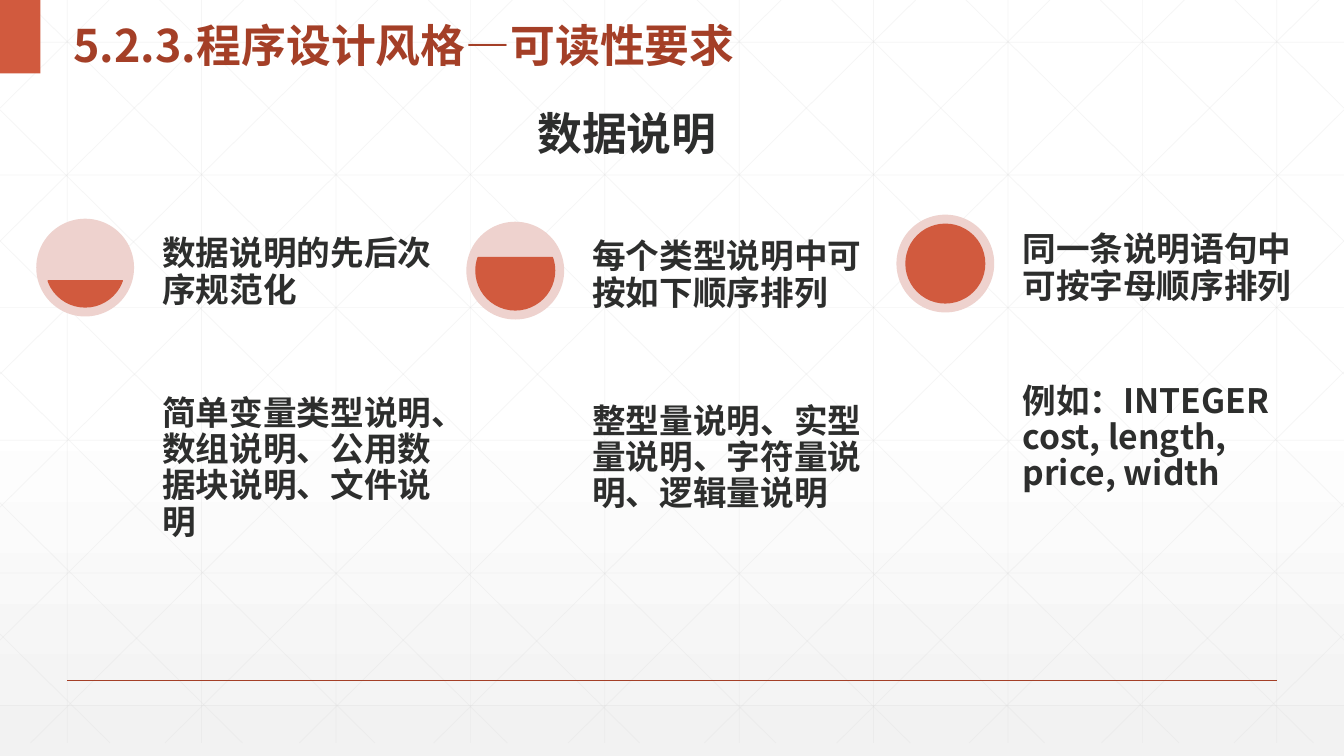
from lxml.etree import SubElement
from pptx import Presentation
from pptx.dml.color import RGBColor
from pptx.enum.shapes import MSO_CONNECTOR as CONNECTOR, MSO_SHAPE as SHAPE
from pptx.enum.text import MSO_ANCHOR as ANCHOR
from pptx.oxml.ns import qn
from pptx.util import Inches, Pt

COLORS = {name: RGBColor.from_string(value) for name, value in {
    "white": "FFFFFF", "mist": "F2F2F2", "grid": "D9D9D9", "rust": "A43F27",
    "orange": "D15A3E", "pink": "EED2CE", "ink": "2D2E2D"}.items()}
FONT = "Noto Sans CJK SC"
WIDTH, HEIGHT = 13.33, 7.5

presentation = Presentation()
presentation.slide_width, presentation.slide_height = Inches(WIDTH), Inches(HEIGHT)
slide = presentation.slides.add_slide(presentation.slide_layouts[6])


def add_line(x1, y1, x2, y2, color, weight, opacity=100):
    line = slide.shapes.add_connector(
        CONNECTOR.STRAIGHT, Inches(x1), Inches(y1), Inches(x2), Inches(y2))
    line.line.color.rgb = COLORS[color]
    line.line.width = Pt(weight)
    properties = line._element.spPr
    SubElement(properties, qn("a:effectLst"))
    if opacity < 100:
        rgb = properties.find(".//" + qn("a:srgbClr"))
        SubElement(rgb, qn("a:alpha"), val=str(opacity * 1000))


def add_text(text, box, size, color, spacing, anchor=ANCHOR.TOP, inset=None, wrap=True):
    frame = slide.shapes.add_textbox(*map(Inches, box)).text_frame
    frame.word_wrap = wrap
    frame.vertical_anchor = anchor
    if inset is not None:
        frame.margin_left = frame.margin_right = Inches(inset)
        frame.margin_top = frame.margin_bottom = Inches(inset)
    paragraph = frame.paragraphs[0]
    paragraph.text = text
    paragraph.line_spacing = spacing
    font = paragraph.font
    font.size, font.bold, font.name = Pt(size), True, FONT
    font.color.rgb = COLORS[color]
    defaults = paragraph._p.find(".//" + qn("a:defRPr"))
    SubElement(defaults, qn("a:ea"), typeface=FONT)


# Background: white fading to light grey at the bottom
background = slide.background.fill
background.gradient()
background.gradient_angle = 270
for stop, (position, color) in zip(background.gradient_stops, [(0.53, "white"), (1, "mist")]):
    stop.position = position
    stop.color.rgb = COLORS[color]

# Faint grid: columns, rows, then mirrored pairs of diagonals
GRID_BOTTOM, COLUMN, ROW, SLOPE = 7.37, WIDTH / 10, 1.316, 0.99
grid_style = ("grid", 0.5, 25)
for column in range(10):
    x = (column + 0.5) * COLUMN
    add_line(x, 0, x, GRID_BOTTOM, *grid_style)
for row in range(6):
    y = 0.42 + row * ROW
    add_line(0, y, WIDTH, y, *grid_style)
diagonal_starts = [(0.25 + i * COLUMN, 0) for i in range(10)]
diagonal_starts += [(0, 1.09 + i * 1.3) for i in range(5)]
for x, y in diagonal_starts:
    run = min(WIDTH - x, (GRID_BOTTOM - y) / SLOPE)
    end_x, end_y = x + run, y + run * SLOPE
    add_line(x, y, end_x, end_y, *grid_style)
    add_line(WIDTH - x, y, WIDTH - end_x, end_y, *grid_style)

# Footer rule, corner block and headings
add_line(COLUMN / 2, 0.9 * HEIGHT, WIDTH - COLUMN / 2, 0.9 * HEIGHT, "rust", 1)
corner = slide.shapes.add_shape(SHAPE.RECTANGLE, 0, 0, Inches(0.4), Inches(0.73))
corner.shadow.inherit = False
corner.fill.solid()
corner.fill.fore_color.rgb = COLORS["orange"]
corner.line.fill.background()
add_text("5.2.3.程序设计风格—可读性要求", (0.63, 0, 9.22, 0.73), 32, "rust", 1.3, ANCHOR.MIDDLE)
add_text("数据说明", (5.23, 1.05, 2, 0.59), 32, "ink", Pt(35), wrap=False)

# Three rules: top, body top, chord angles in degrees, heading, body
RULES = [
    (2.17, 3.86, (19.5, 160.5), "数据说明的先后次序规范化",
     "简单变量类型说明、数组说明、公用数据块说明、文件说明"),
    (2.2, 3.94, (340.5, 199.5), "每个类型说明中可按如下顺序排列",
     "整型量说明、实型量说明、字符量说明、逻辑量说明"),
    (2.13, 3.74, (270, 270), "同一条说明语句中可按字母顺序排列",
     "例如：INTEGER cost, length, price, width"),
]
DISC, LEVEL, TEXT_WIDTH = 0.97, 0.78, 2.88
BODY_BOTTOM = 6.55
for index, (top, body_top, angles, heading, body) in enumerate(RULES):
    left = 0.36 + index * 0.32 * WIDTH
    rim = (DISC - LEVEL) / 2
    for kind, offset, size, color in [(SHAPE.OVAL, 0, DISC, "pink"),
                                      (SHAPE.CHORD, rim, LEVEL, "orange")]:
        shape = slide.shapes.add_shape(
            kind, Inches(left + offset), Inches(top + offset), Inches(size), Inches(size))
        shape.shadow.inherit = False
        shape.fill.solid()
        shape.fill.fore_color.rgb = COLORS[color]
        if kind == SHAPE.CHORD:
            for number, angle in enumerate(angles):
                shape.adjustments[number] = angle * 0.6
            shape.line.color.rgb = COLORS[color]
            shape.line.width = Pt(1)
        else:
            shape.line.fill.background()
    text_left = left + 1.18
    add_text(body, (text_left, body_top, TEXT_WIDTH, BODY_BOTTOM - body_top),
             24, "ink", 0.9, inset=0.07)
    add_text(heading, (text_left, top, TEXT_WIDTH, DISC),
             24, "ink", 0.9, ANCHOR.BOTTOM, inset=0.07)

presentation.save("out.pptx")
